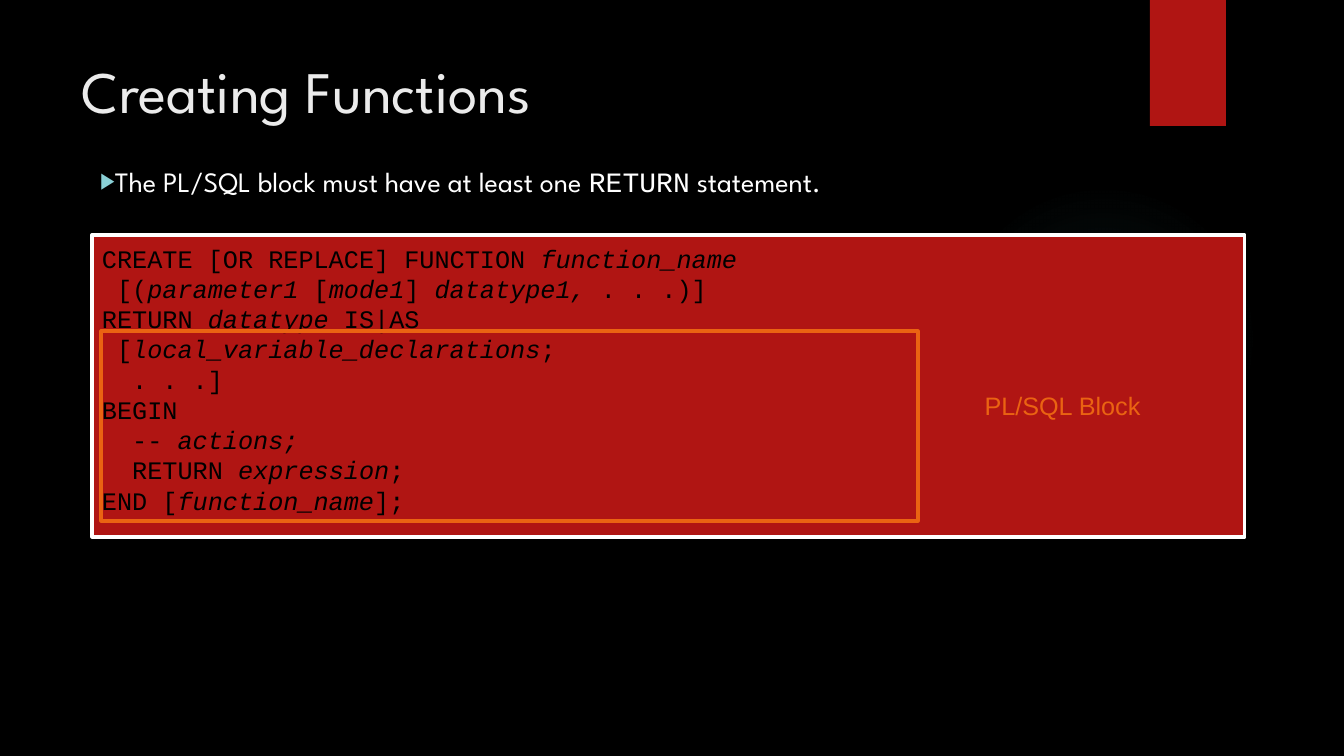
import pptx
import pptx.dml.color
import pptx.enum.shapes
import pptx.enum.text
import pptx.oxml
import pptx.oxml.ns
import pptx.util

COLOURS = {
    "black": "000000",
    "white": "FFFFFF",
    "title": "EBEBEB",
    "red": "B01513",
    "orange": "EA6312",
    "glow": "50B9C1",
    "bullet": "8AD0D6",
}
HEADING, CODE, LABEL = "League Spartan", "Courier New", "Arial"
SHAPES = pptx.enum.shapes.MSO_SHAPE
ALIGN = pptx.enum.text.PP_ALIGN
NS = pptx.oxml.ns.nsdecls("a")


class Deck:
    """Holds the style and the current slide; lengths are in px."""

    SCALE = 914400 / 100.8

    def __init__(self, width, height):
        self.presentation = pptx.Presentation()
        self.presentation.slide_width = self.px(width)
        self.presentation.slide_height = self.px(height)
        self.slide = self.presentation.slides.add_slide(
            self.presentation.slide_layouts[6])
        self.paint(self.slide.background.fill, "black")

    def px(self, length):
        return pptx.util.Emu(round(length * self.SCALE))

    def colour(self, name):
        return pptx.dml.color.RGBColor.from_string(COLOURS[name])

    def paint(self, fill, name):
        fill.solid()
        fill.fore_color.rgb = self.colour(name)

    def shape(self, kind, box, fill=None, line=None):
        shape = self.slide.shapes.add_shape(kind, *map(self.px, box))
        shape.shadow.inherit = False
        if fill:
            self.paint(shape.fill, fill)
        else:
            shape.fill.background()
        if line:
            self.paint(shape.line.fill, line)
            shape.line.width = pptx.util.Pt(2.25)
        else:
            shape.line.fill.background()
        return shape

    def glow(self, box, stops):
        circle = self.shape(SHAPES.OVAL, box)
        properties = circle.fill._xPr
        properties.remove(properties.find(pptx.oxml.ns.qn("a:noFill")))
        marks = "".join(
            f'<a:gs pos="{place * 1000}"><a:srgbClr val="{COLOURS["glow"]}">'
            f'<a:alpha val="{alpha * 1000}"/></a:srgbClr></a:gs>'
            for place, alpha in stops)
        gradient = pptx.oxml.parse_xml(
            f'<a:gradFill {NS}><a:gsLst>{marks}</a:gsLst><a:path path="circle">'
            '<a:fillToRect l="50000" t="50000" r="50000" b="50000"/>'
            '</a:path></a:gradFill>')
        properties.find(pptx.oxml.ns.qn("a:prstGeom")).addnext(gradient)

    def frame(self, shape, insets=(10, 5, 10, 5), wrap=True):
        frame = shape.text_frame
        left, top, right, bottom = map(self.px, insets)
        settings = {
            "margin_left": left, "margin_top": top,
            "margin_right": right, "margin_bottom": bottom,
            "word_wrap": wrap,
            "vertical_anchor": pptx.enum.text.MSO_ANCHOR.TOP,
        }
        for name, value in settings.items():
            setattr(frame, name, value)
        return frame

    def run(self, paragraph, text, font, size, colour, italic=None):
        for row, part in enumerate(text.split("\n")):
            if row:
                paragraph.add_line_break()
            if not part:
                continue
            run = paragraph.add_run()
            run.text = part
            settings = {"name": font, "size": pptx.util.Pt(size), "italic": italic}
            for name, value in settings.items():
                setattr(run.font, name, value)
            run.font.color.rgb = self.colour(colour)

    def text(self, box, runs, size, colour, align=ALIGN.LEFT, **layout):
        textbox = self.slide.shapes.add_textbox(*map(self.px, box))
        paragraph = self.frame(textbox, **layout).paragraphs[0]
        paragraph.alignment = align
        for content, font in runs:
            self.run(paragraph, content, font, size, colour)
        return paragraph

    def bullet(self, paragraph):
        properties = paragraph._p.get_or_add_pPr()
        for mark in (
                f'<a:buClr {NS}><a:srgbClr val="{COLOURS["bullet"]}"/></a:buClr>',
                f'<a:buSzPct {NS} val="80000"/>',
                f'<a:buFont {NS} typeface="{LABEL}"/>',
                f'<a:buChar {NS} char="▶"/>'):
            properties.append(pptx.oxml.parse_xml(mark))

    def code(self, box, paragraphs):
        """Text between asterisks is italic."""
        panel = self.shape(SHAPES.RECTANGLE, box, "red", "white")
        frame = self.frame(panel, insets=(10, 8, 10, 5), wrap=False)
        for number, content in enumerate(paragraphs):
            paragraph = frame.add_paragraph() if number else frame.paragraphs[0]
            paragraph.alignment = ALIGN.LEFT
            paragraph.line_spacing = pptx.util.Pt(21.6)
            for part, words in enumerate(content.split("*")):
                self.run(paragraph, words, CODE, 18, "black", part % 2 == 1)


def main():
    deck = Deck(1344, 756)

    # Backdrop: faint glow and red tab
    deck.glow((949, 184, 310, 310), [(0, 7), (36, 6), (69, 0)])
    deck.shape(SHAPES.RECTANGLE, (1150, 0, 76, 126), "red")

    # Function syntax
    deck.code((92, 235, 1153, 302), [
        "CREATE [OR REPLACE] FUNCTION *function_name\n *[(*parameter1 *[*mode1*]"
        "* datatype1, *. . .)]",
        "RETURN *datatype *IS|AS",
        " [*local_variable_declarations*;",
        "  . . .]",
        "BEGIN\n  -- *actions;*",
        "  RETURN *expression*;",
        "END [*function_name*];",
    ])

    # Title and statement
    deck.text((72, 50, 1037, 154), [("Creating Functions", HEADING)], 42, "title")
    statement = deck.text((90, 159, 1164, 76), [
        ("The PL/SQL block must have at least one ", HEADING),
        ("RETURN", CODE),
        (" statement.", HEADING),
    ], 20, "white")
    deck.bullet(statement)

    # Block label and outline
    deck.text((976, 386, 173, 38), [("PL/SQL Block", LABEL)], 18, "orange",
              ALIGN.CENTER, insets=(8, 4, 8, 4), wrap=False)
    deck.shape(SHAPES.RECTANGLE, (101, 331, 817, 190), line="orange")

    deck.presentation.save("out.pptx")


if __name__ == "__main__":
    main()
